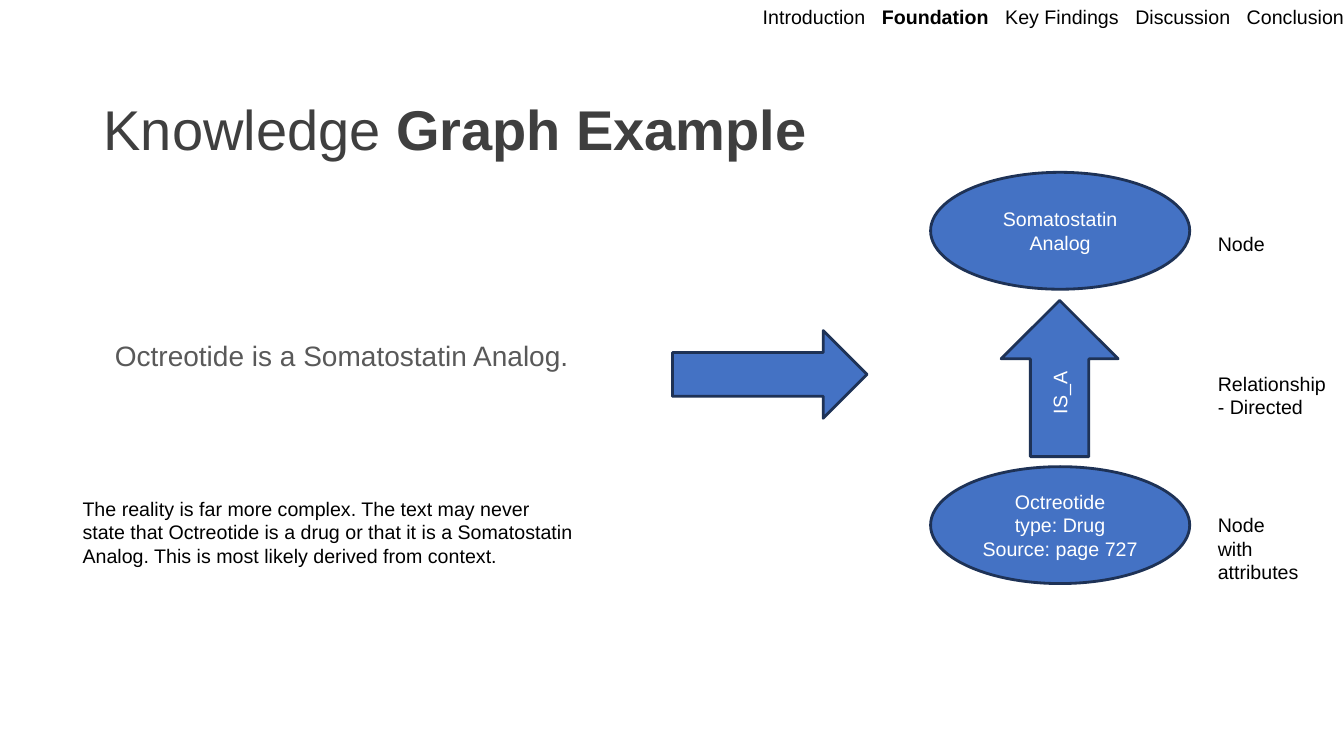
from pptx import Presentation
from pptx.dml.color import RGBColor
from pptx.enum.shapes import MSO_SHAPE as Kind
from pptx.enum.text import MSO_ANCHOR as Anchor, PP_ALIGN as Align
from pptx.util import Inches, Pt

FONT = "Arial"
COLORS = {
    "black": "000000",
    "title": "3F3F3F",
    "body": "595959",
    "white": "FFFFFF",
    "blue": "4472C4",
    "navy": "1E3256",
}
TABS = ["Introduction", "Foundation", "Key Findings", "Discussion", "Conclusion"]


def rgb(name):
    """Look up a named colour."""
    return RGBColor.from_string(COLORS[name])


def style(run, size, color, bold=False):
    """Format one run."""
    font = run.font
    font.name, font.size, font.bold = FONT, Pt(size), bold
    font.color.rgb = rgb(color)


def add_text(slide, box, parts, size=14, color="black", wrap=True):
    """Add a text box from (text, bold) parts and return its frame."""
    frame = slide.shapes.add_textbox(*map(Inches, box)).text_frame
    frame.word_wrap = wrap
    for text, bold in parts:
        run = frame.paragraphs[0].add_run()
        run.text = text
        style(run, size, color, bold)
    return frame


def add_nav(slide, active):
    """Add the section names at the top right."""
    parts = []
    for tab in TABS:
        parts += [(" ", False), (tab, tab == active)]
    frame = add_text(slide, (7.31, 0, 6.02, 0.34), parts[1:], wrap=False)
    frame.margin_right = 0
    para = frame.paragraphs[0]
    para.alignment = Align.RIGHT
    for gap in para.runs[1::2]:
        gap.font._element.set("spc", "780")


def add_block(slide, kind, box, text=""):
    """Add a blue outlined shape with centred white text."""
    shape = slide.shapes.add_shape(kind, *map(Inches, box))
    shape.shadow.inherit = False
    shape.fill.solid()
    shape.fill.fore_color.rgb = rgb("blue")
    shape.line.color.rgb = rgb("navy")
    shape.line.width = Pt(2)
    frame = shape.text_frame
    frame.text = text
    frame.vertical_anchor = Anchor.MIDDLE
    for para in frame.paragraphs:
        para.alignment = Align.CENTER
        for run in para.runs:
            style(run, 14, "white")
    return shape


def add_graph(slide):
    """Add the two nodes and the relation between them."""
    add_block(slide, Kind.OVAL, (9.23, 1.71, 2.57, 1.16), "Somatostatin Analog")
    add_block(slide, Kind.OVAL, (9.23, 4.63, 2.57, 1.16),
              "Octreotide\vtype: Drug\nSource: page 727")
    link = add_block(slide, Kind.UP_ARROW, (9.93, 2.98, 1.16, 1.55), "IS_A")
    link.text_frame._txBody.bodyPr.set("vert", "vert270")
    add_block(slide, Kind.RIGHT_ARROW, (6.67, 3.28, 1.93, 0.87))


def main():
    """Build the slide and save it."""
    deck = Presentation()
    deck.slide_width, deck.slide_height = Inches(13.33), Inches(7.5)
    slide = deck.slides.add_slide(deck.slide_layouts[6])

    add_nav(slide, "Foundation")
    title = add_text(slide, (0.93, 0.78, 11.46, 1.07),
                     [("Knowledge", False), (" Graph Example", True)], 40, "title")
    title.vertical_anchor = Anchor.MIDDLE
    title.paragraphs[0].line_spacing = 0.9

    claim = add_text(slide, (0.93, 3.35, 5.67, 0.79),
                     [("Octreotide is a Somatostatin Analog.", False)], 20, "body")
    claim.margin_left = Inches(0.21)
    claim.paragraphs[0].line_spacing = 0.9

    add_graph(slide)
    notes = [
        ((0.72, 4.88, 5.11, 0.81),
         "The reality is far more complex. The text may never state that "
         "Octreotide is a drug or that it is a Somatostatin Analog. "
         "This is most likely derived from context."),
        ((11.98, 2.25, 0.67, 0.34), "Node"),
        ((11.98, 3.64, 1.28, 0.57), "Relationship - Directed"),
        ((11.98, 5.04, 1, 0.81), "Node with attributes"),
    ]
    for box, text in notes:
        add_text(slide, box, [(text, False)])
    deck.save("out.pptx")


if __name__ == "__main__":
    main()
